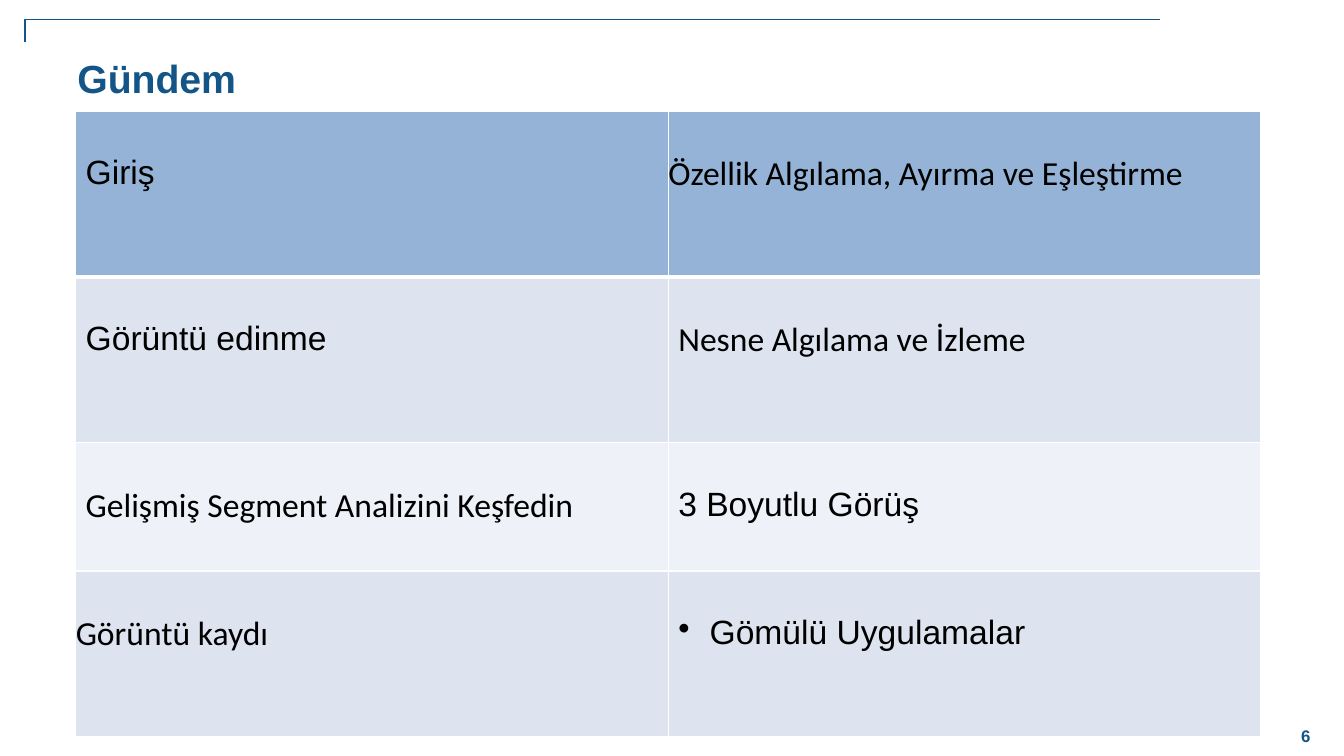
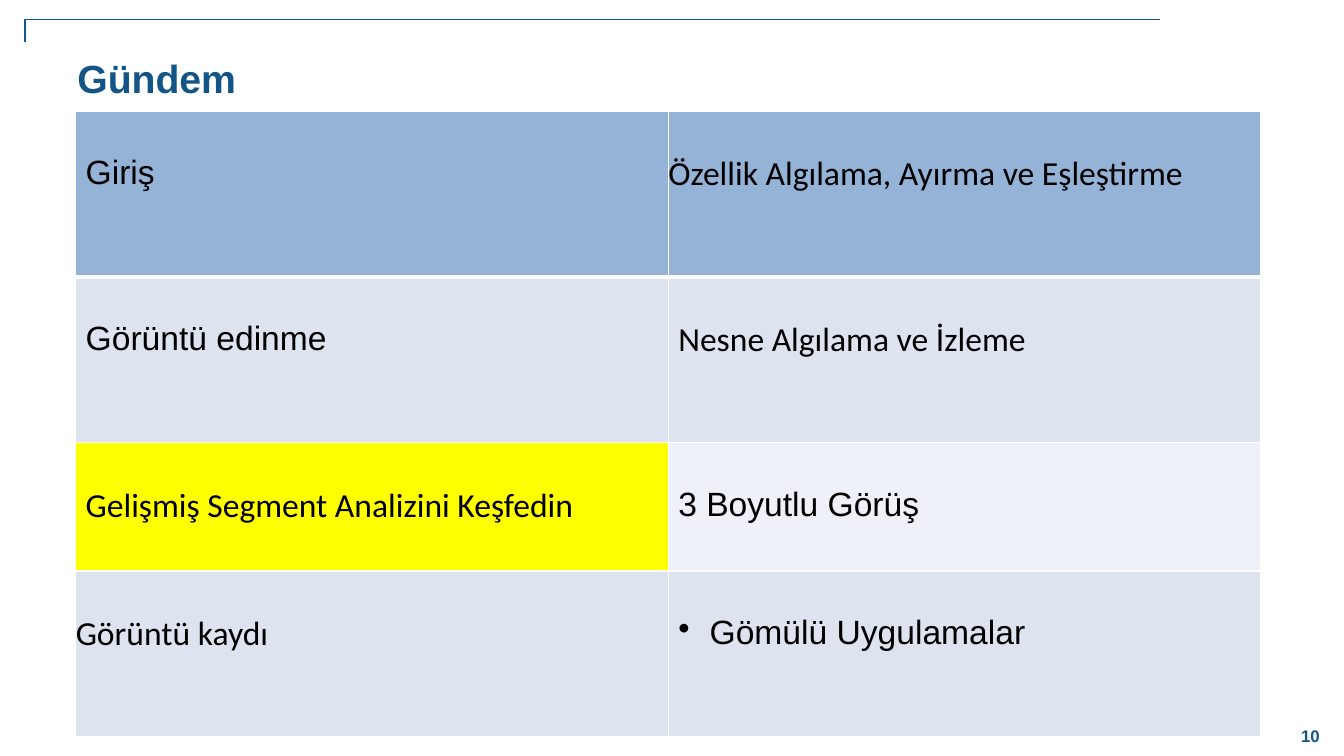
"""Builds two agenda slides, the second with the current topic highlighted."""
from lxml import etree
from pptx import Presentation
from pptx import util as u
from pptx.dml import color
from pptx.enum import text
from pptx.oxml import ns

COLORS = {
    "accent": "125586",
    "ink": "000000",
    "rule": "FFFFFF",
    "header": "94B3D6",
    "band": "DDE4EF",
    "light": "EEF1F8",
    "highlight": "FFFF00",
}
INDENT = 0.25
HANGING = 0.79
ROW_HEIGHTS = (4.18, 4.18, 3.23, 4.18)
ROW_FILLS = ("header", "band", "light", "band")
TOPICS = (
    (("Giriş", "Arial", INDENT, False),
     ("Özellik Algılama, Ayırma ve Eşleştirme", "Calibri", 0, False)),
    (("Görüntü edinme", "Arial", INDENT, False),
     ("Nesne Algılama ve İzleme", "Calibri", INDENT, False)),
    (("Gelişmiş Segment Analizini Keşfedin", "Calibri", INDENT, False),
     ("3 Boyutlu Görüş", "Arial", INDENT, False)),
    (("Görüntü kaydı", "Calibri", 0, False),
     ("Gömülü Uygulamalar", "Arial", INDENT, True)),
)


def rgb(name):
    return color.RGBColor.from_string(COLORS[name])


def style(paragraph, size, ink, font="Arial", bold=False):
    for run in paragraph.runs:
        run.font.name = font
        run.font.size = u.Pt(size)
        run.font.bold = bold
        run.font.color.rgb = rgb(ink)


def add_label(slide, wording, left, top, width, height, size):
    label = slide.shapes.add_textbox(u.Cm(left), u.Cm(top), u.Cm(width), u.Cm(height))
    frame = label.text_frame
    frame.margin_left = frame.margin_top = frame.margin_right = frame.margin_bottom = 0
    frame.word_wrap = True
    frame.text = wording
    style(frame.paragraphs[0], size, "accent", bold=True)
    return frame.paragraphs[0]


def add_corner_rule(slide):
    left, top, right, bottom = (u.Cm(n) for n in (0.63, 0.49, 29.23, 1.07))
    builder = slide.shapes.build_freeform(right, top)
    builder.add_line_segments([(left, top), (left, bottom)], close=False)
    corner = builder.convert_to_shape()
    corner.shadow.inherit = False
    corner.fill.background()
    corner.line.color.rgb = rgb("accent")
    corner.line.width = u.Pt(0.96)


def set_borders(cell, top, bottom):
    properties = cell._tc.get_or_add_tcPr()
    for side, points in (("L", 1), ("R", 1), ("T", top), ("B", bottom)):
        edge = etree.SubElement(properties, ns.qn(f"a:ln{side}"), w=str(u.Pt(points)))
        paint = etree.SubElement(edge, ns.qn("a:solidFill"))
        etree.SubElement(paint, ns.qn("a:srgbClr"), val=COLORS["rule"])


def add_bullet(paragraph):
    properties = paragraph._p.get_or_add_pPr()
    properties.set("marL", str(u.Cm(HANGING)))
    properties.set("indent", str(-u.Cm(HANGING)))
    etree.SubElement(properties, ns.qn("a:buChar"), char="•")


def fill_cell(cell, topic, fill):
    wording, font, indent, bulleted = topic
    cell.margin_left, cell.margin_top = u.Cm(indent), u.Cm(1.08)
    cell.margin_right = cell.margin_bottom = 0
    cell.vertical_anchor = text.MSO_ANCHOR.TOP
    cell.fill.solid()
    cell.fill.fore_color.rgb = rgb(fill)
    cell.text_frame.text = wording
    paragraph = cell.text_frame.paragraphs[0]
    if bulleted:
        add_bullet(paragraph)
    style(paragraph, 24, "ink", font)


def add_agenda(slide, current):
    agenda = slide.shapes.add_table(
        len(TOPICS), 2, u.Cm(1.91), u.Cm(2.8), u.Cm(29.87), u.Cm(sum(ROW_HEIGHTS))).table
    for row, topics in enumerate(TOPICS):
        agenda.rows[row].height = u.Cm(ROW_HEIGHTS[row])
        for column, topic in enumerate(topics):
            cell = agenda.cell(row, column)
            set_borders(cell, 3 if row == 1 else 1, 3 if row == 0 else 1)
            fill = "highlight" if (row, column) == current else ROW_FILLS[row]
            fill_cell(cell, topic, fill)


def add_agenda_slide(deck, number, current=None):
    slide = deck.slides.add_slide(deck.slide_layouts[6])
    add_corner_rule(slide)
    add_label(slide, "Gündem", 1.95, 1.38, 6.73, 1.24, 28)
    page = add_label(slide, str(number), 32.79, 18.29, 0.8, 0.53, 12)
    page.line_spacing = u.Pt(14.2)
    add_agenda(slide, current)


def main():
    deck = Presentation()
    deck.slide_width, deck.slide_height = u.Cm(33.87), u.Cm(19.05)
    add_agenda_slide(deck, 6)
    add_agenda_slide(deck, 10, current=(2, 0))
    deck.save("out.pptx")


if __name__ == "__main__":
    main()
